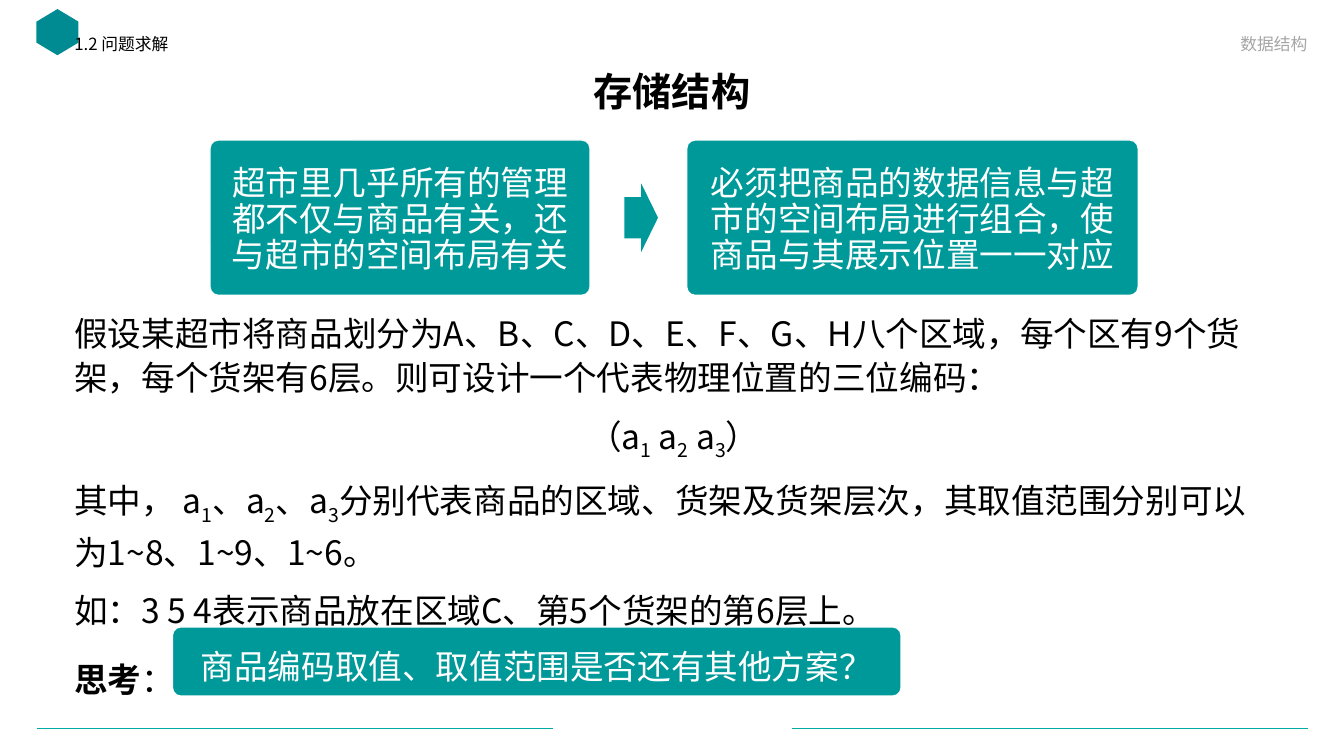
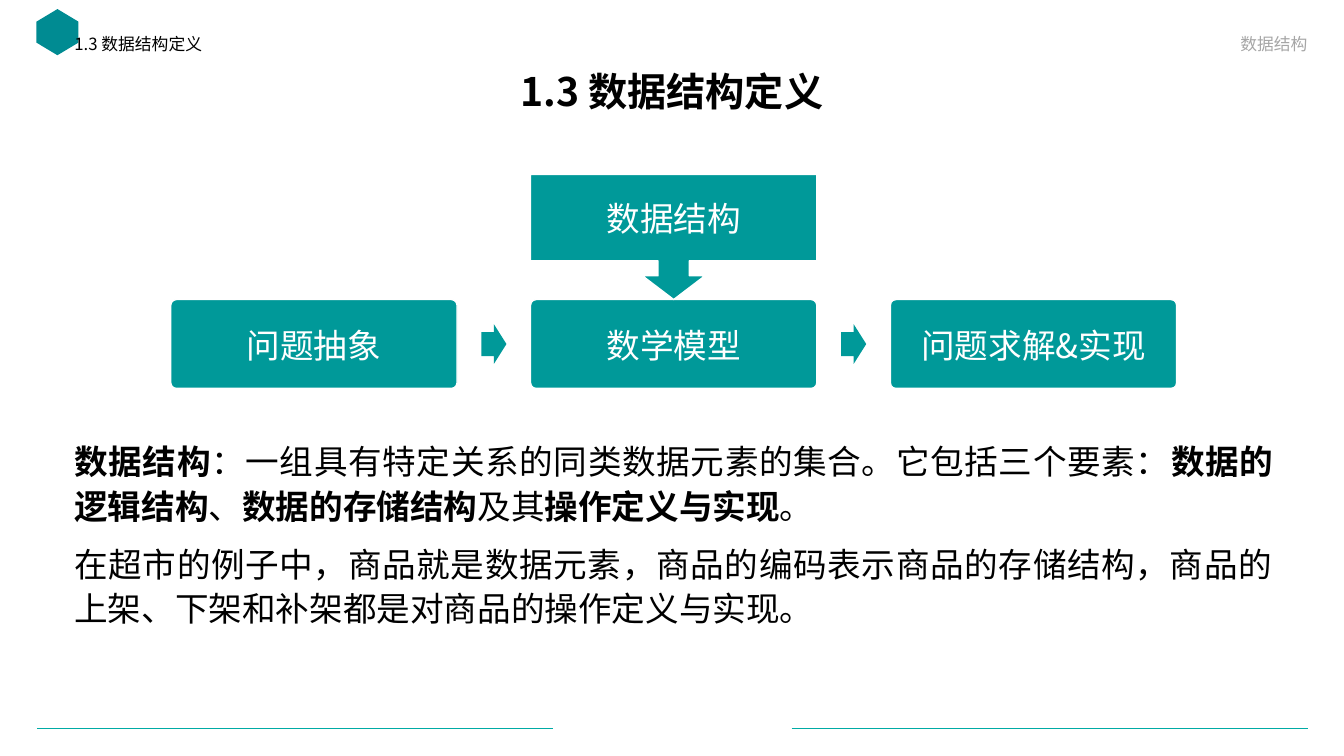
from lxml import etree
from pptx import Presentation
from pptx.dml.color import RGBColor
from pptx.enum import shapes, text
from pptx.oxml import ns
from pptx.util import Pt

FONT = "Noto Sans CJK SC"
HUES = {"ink": "000000", "paper": "FFFFFF", "teal": "009999",
        "rule": "00ABA5", "mark": "008B92", "grey": "A6A6A6"}
ALIGN = text.PP_ALIGN
ANCHOR = text.MSO_ANCHOR
SHAPE = shapes.MSO_SHAPE


def hue(name):
    return RGBColor.from_string(HUES[name])


def write(frame, words, size=24, color="ink", bold=False, align=ALIGN.LEFT,
          line=31.5, before=10, odd=None):
    """Add a paragraph; "|" splits it, and each second part is "bold" or "sub"."""
    first = not frame.paragraphs[0].runs
    para = frame.paragraphs[0] if first else frame.add_paragraph()
    para.alignment = align
    para.line_spacing = Pt(line)
    para.space_before = Pt(0 if first else before)
    for i, part in enumerate(words.split("|")):
        if not part:
            continue
        run = para.add_run()
        run.text = part
        font = run.font
        font.name, font.size, font.color.rgb = FONT, Pt(size), hue(color)
        special = odd if i % 2 else None
        font.bold = bold or special == "bold"
        props = run._r.get_or_add_rPr()
        if special == "sub":
            props.set("baseline", "-25000")
        etree.SubElement(props, ns.qn("a:ea"), typeface=FONT)


class Deck:
    def __init__(self):
        self.prs = Presentation()
        self.prs.slide_width, self.prs.slide_height = Pt(960), Pt(540)
        self.slide = None

    def page(self, title, part):
        """Start a slide with its title, header and footer rules."""
        self.slide = self.prs.slides.add_slide(self.prs.slide_layouts[6])
        for left in (26.5, 565.5):
            self.rule(left, 520, 368.5)
        mark = self.shape(SHAPE.HEXAGON, 24.5, 8, 33, 30, [0.3], "mark")
        mark.rotation = 90
        head = self.box(66, 44.6, 828, 41, ANCHOR.MIDDLE)
        write(head, title, size=28, bold=True, align=ALIGN.CENTER, line=33)
        write(self.box(46, 21.6, 383, 26), part, size=12, line=13.5)
        write(self.box(535, 21.6, 406, 26), "数据结构", size=12, color="grey",
              align=ALIGN.RIGHT, line=13.5)

    def box(self, left, top, width, height, anchor=ANCHOR.TOP):
        area = self.slide.shapes.add_textbox(Pt(left), Pt(top), Pt(width), Pt(height))
        frame = area.text_frame
        frame.word_wrap = True
        frame.vertical_anchor = anchor
        return frame

    def rule(self, left, top, width):
        line = self.slide.shapes.add_connector(
            shapes.MSO_CONNECTOR.STRAIGHT, Pt(left), Pt(top), Pt(left + width), Pt(top))
        line.line.color.rgb = hue("rule")
        line.line.width = Pt(0.5)
        etree.SubElement(line._element.spPr, ns.qn("a:effectLst"))

    def shape(self, kind, left, top, width, height, adjust, fill="teal"):
        item = self.slide.shapes.add_shape(kind, Pt(left), Pt(top), Pt(width), Pt(height))
        item.shadow.inherit = False
        for i, value in enumerate(adjust):
            item.adjustments[i] = value
        item.fill.solid()
        item.fill.fore_color.rgb = hue(fill)
        item.line.fill.background()
        return item

    def label(self, item, words, line=25.7):
        """Outline a filled shape in white and put centred white text in it."""
        item.line.color.rgb = hue("paper")
        item.line.width = Pt(1)
        frame = item.text_frame
        frame.word_wrap = True
        frame.vertical_anchor = ANCHOR.MIDDLE
        frame.margin_left = frame.margin_right = Pt(12)
        frame.margin_top, frame.margin_bottom = Pt(14), Pt(10)
        write(frame, words, color="paper", align=ALIGN.CENTER, line=line)

    def card(self, left, top, width, height, words, radius=6, **style):
        adjust = [radius / min(width, height)]
        item = self.shape(SHAPE.ROUNDED_RECTANGLE, left, top, width, height, adjust)
        self.label(item, words, **style)

    def arrow(self, left, top, width, height):
        self.shape(SHAPE.RIGHT_ARROW, left, top, width, height, [0.6, 0.5])


def storage(deck):
    deck.page("存储结构", "1.2 问题求解")
    body = deck.box(46, 217.3, 870.5, 282)
    write(body, "假设某超市将商品划分为A、B、C、D、E、F、G、H八个区域，每个区有9个货架，"
                "每个货架有6层。则可设计一个代表物理位置的三位编码：")
    write(body, "（a|1| a|2| a|3|）", odd="sub", align=ALIGN.CENTER, line=36)
    write(body, "其中， a|1|、a|2|、a|3|分别代表商品的区域、货架及货架层次，"
                "其取值范围分别可以为1~8、1~9、1~6。", odd="sub", line=33, before=13)
    write(body, "如：3 5 4表示商品放在区域C、第5个货架的第6层上。")
    write(body, "|思考|：", odd="bold", line=43, before=6)

    deck.card(150, 100, 271.5, 111, "超市里几乎所有的管理都不仅与商品有关，还与超市的空间布局有关")
    deck.card(490.5, 100, 322.5, 111,
              "必须把商品的数据信息与超市的空间布局进行组合，使商品与其展示位置一一对应")
    deck.arrow(446, 131, 24, 49)
    deck.card(123.2, 447.8, 520.5, 49.5, "商品编码取值、取值范围是否还有其他方案？", line=31.5)


def concept(deck):
    deck.page("1.3 数据结构定义", "1.3 数据结构定义")
    body = deck.box(46, 309, 870.5, 180)
    write(body, "|数据结构|：一组具有特定关系的同类数据元素的集合。它包括三个要素："
                "|数据的逻辑结构|、|数据的存储结构|及其|操作定义与实现|。",
          odd="bold", align=ALIGN.JUSTIFY)
    write(body, "在超市的例子中，商品就是数据元素，商品的编码表示商品的存储结构，"
                "商品的上架、下架和补架都是对商品的操作定义与实现。", align=ALIGN.JUSTIFY)

    left, top, width, height, pitch = 122, 214, 204.5, 63.5, 257
    tip, rise = 18, 28.5
    steps = ["问题抽象", "数学模型", "问题求解&实现"]
    for i, step in enumerate(steps):
        x = left + i * pitch
        deck.card(x, top, width, height, step, radius=4)
        if i < len(steps) - 1:
            gap = pitch - width
            deck.arrow(x + width + (gap - tip) / 2, top + (height - rise) / 2, tip, rise)
    call = deck.shape(SHAPE.DOWN_ARROW_CALLOUT, left + pitch, 124.7, width, 89.3,
                      [0.25, 0.25, 0.19, 0.69])
    deck.label(call, "数据结构")


def main():
    deck = Deck()
    storage(deck)
    concept(deck)
    deck.prs.save("out.pptx")


if __name__ == "__main__":
    main()
